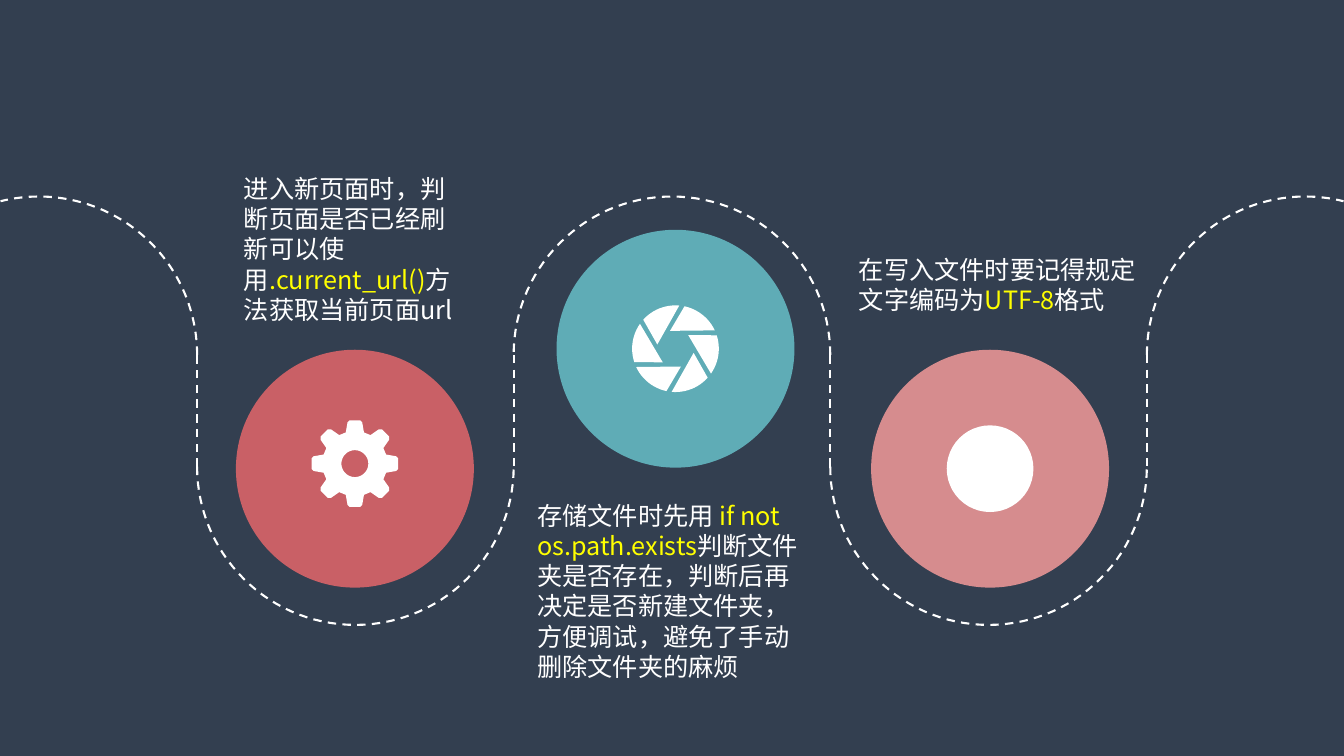
import math
from collections import namedtuple

import pptx
import pptx.util
from pptx.dml.color import RGBColor
from pptx.enum.dml import MSO_LINE
from pptx.enum.shapes import MSO_CONNECTOR, MSO_SHAPE
from pptx.oxml.ns import qn

WIDTH = pptx.util.Inches(13.33)
HEIGHT = pptx.util.Inches(7.5)
NAVY = RGBColor(0x33, 0x3F, 0x50)
WHITE = RGBColor(0xFF, 0xFF, 0xFF)
YELLOW = RGBColor(0xFF, 0xFF, 0x00)
RED = RGBColor(0xC9, 0x60, 0x66)
TEAL = RGBColor(0x5F, 0xAC, 0xB6)
PINK = RGBColor(0xD6, 0x8C, 0x8E)
FONT = "Noto Sans CJK SC"

COLUMN = pptx.util.Inches(3.14)
RADIUS = COLUMN / 2
ARCH_LINE = pptx.util.Inches(3.52)
TROUGH_LINE = pptx.util.Inches(4.63)
DISC = pptx.util.Inches(2.36)
ICON = pptx.util.Inches(0.86)

Box = namedtuple("Box", "left top width height")


def inch_box(*lengths):
    """Return a box from four lengths in inches."""
    return Box(*(pptx.util.Inches(length) for length in lengths))


def centred_box(x, y, size):
    """Return a square box around a centre."""
    return Box(round(x - size / 2), round(y - size / 2), size, size)


def arc_points(x, y, radius, start, end, steps=60):
    """Return points along an arc, with angles in degrees clockwise from the right."""
    angles = [math.radians(start + (end - start) * step / steps) for step in range(steps + 1)]
    return [(x + radius * math.cos(angle), y + radius * math.sin(angle)) for angle in angles]


def turn(point, degrees):
    """Rotate a point about the zero point."""
    x, y = point
    cosine, sine = math.cos(math.radians(degrees)), math.sin(math.radians(degrees))
    return x * cosine - y * sine, x * sine + y * cosine


def draw_outline(slide, contours, close):
    """Draw one freeform from contours given in slide lengths."""
    contours = [[(round(x), round(y)) for x, y in contour] for contour in contours]
    builder = slide.shapes.build_freeform(*contours[0][0])
    for index, contour in enumerate(contours):
        if index:
            builder.move_to(*contour[0])
        builder.add_line_segments(contour[1:], close=close)
    shape = builder.convert_to_shape()
    shape.shadow.inherit = False
    return shape


def paint(shape, colour):
    """Give a shape a plain fill without outline."""
    shape.shadow.inherit = False
    shape.fill.solid()
    shape.fill.fore_color.rgb = colour
    shape.line.fill.background()


def dash(line):
    """Style a line as part of the winding route."""
    line.color.rgb = WHITE
    line.width = pptx.util.Pt(1.5)
    line.dash_style = MSO_LINE.DASH


def add_route(slide, box):
    """Draw the dashed route of arches, troughs and uprights across the box."""
    middle = box.left + box.width / 2
    bends = [(ARCH_LINE, 0, -104), (TROUGH_LINE, 180, 0), (ARCH_LINE, 0, -180),
             (TROUGH_LINE, 180, 0), (ARCH_LINE, 180, 284)]
    for index, (level, start, end) in enumerate(bends):
        x = middle + (index - 2) * COLUMN
        bend = draw_outline(slide, [arc_points(x, box.top + level, RADIUS, start, end)], False)
        bend.fill.background()
        dash(bend.line)
    for index in range(4):
        x = round(middle + (index - 1.5) * COLUMN)
        ends = [box.top + TROUGH_LINE, box.top + ARCH_LINE]
        if index % 2:
            ends.reverse()
        upright = slide.shapes.add_connector(MSO_CONNECTOR.STRAIGHT, x, ends[0], x, ends[1])
        dash(upright.line)
        properties = upright._element.spPr
        properties.append(properties.makeelement(qn("a:effectLst"), {}))


def add_disc(slide, box, colour):
    """Fill the box with a round disc."""
    paint(slide.shapes.add_shape(MSO_SHAPE.OVAL, *box), colour)


def add_icon(slide, box, contours):
    """Draw a white icon whose contours run from -1 to 1 across the box."""
    half = box.width / 2
    placed = [[(box.left + half * (1 + x), box.top + half * (1 + y)) for x, y in contour]
              for contour in contours]
    paint(draw_outline(slide, placed, True), WHITE)


def add_gear(slide, box):
    """Draw a gear with eight teeth and a round hole."""
    tooth = [(-0.21, -0.72), (-0.17, -0.95), (-0.12, -1), (0.12, -1), (0.17, -0.95), (0.21, -0.72)]
    rim = [turn(point, 45 * index) for index in range(8) for point in tooth]
    add_icon(slide, box, [rim, arc_points(0, 0, 0.31, 360, 0)])


def add_aperture(slide, box):
    """Draw a camera aperture with six blades."""
    blade = arc_points(0, 0, 1, -85, -138, 12) + arc_points(0, 0, 0.43, -167, -167, 1)[:1]
    add_icon(slide, box, [[turn(point, 60 * index) for point in blade] for index in range(6)])


def add_note(slide, box, runs):
    """Write a note of coloured runs in the box."""
    frame = slide.shapes.add_textbox(*box).text_frame
    frame.word_wrap = True
    paragraph = frame.paragraphs[0]
    for text, colour in runs:
        run = paragraph.add_run()
        run.text = text
        run.font.size = pptx.util.Pt(18)
        run.font.color.rgb = colour
        run.font.name = FONT
        properties = run.font._element
        properties.append(properties.makeelement(qn("a:ea"), {"typeface": FONT}))


def main():
    """Build the slide and save it."""
    presentation = pptx.Presentation()
    presentation.slide_width, presentation.slide_height = WIDTH, HEIGHT
    slide = presentation.slides.add_slide(presentation.slide_layouts[6])
    slide.background.fill.solid()
    slide.background.fill.fore_color.rgb = NAVY

    add_route(slide, Box(0, 0, WIDTH, HEIGHT))

    low, high = pptx.util.Inches(4.65), pptx.util.Inches(3.46)
    left, middle, right = (pptx.util.Inches(x) for x in (3.52, 6.7, 9.82))
    for x, y, colour in [(left, low, RED), (right, low, PINK), (middle, high, TEAL)]:
        add_disc(slide, centred_box(x, y, DISC), colour)
    add_gear(slide, centred_box(left, pptx.util.Inches(4.6), ICON))
    add_aperture(slide, centred_box(middle, high, ICON))
    add_disc(slide, centred_box(right, low, ICON), WHITE)

    add_note(slide, inch_box(2.32, 1.67, 2.42, 1.61), [
        ("进入新页面时，判断页面是否已经刷新可以使用", WHITE),
        (".current_url()", YELLOW),
        ("方法获取当前页面url", WHITE)])
    add_note(slide, inch_box(5.23, 4.91, 2.94, 1.92), [
        ("存储文件时先用 ", WHITE),
        ("if not os.path.exists", YELLOW),
        ("判断文件夹是否存在，判断后再决定是否新建文件夹，方便调试，避免了手动删除文件夹的麻烦", WHITE)])
    add_note(slide, inch_box(8.42, 2.47, 2.96, 1.01), [
        ("在写入文件时要记得规定文字编码为", WHITE),
        ("UTF-8", YELLOW),
        ("格式", WHITE)])
    presentation.save("out.pptx")


if __name__ == "__main__":
    main()
